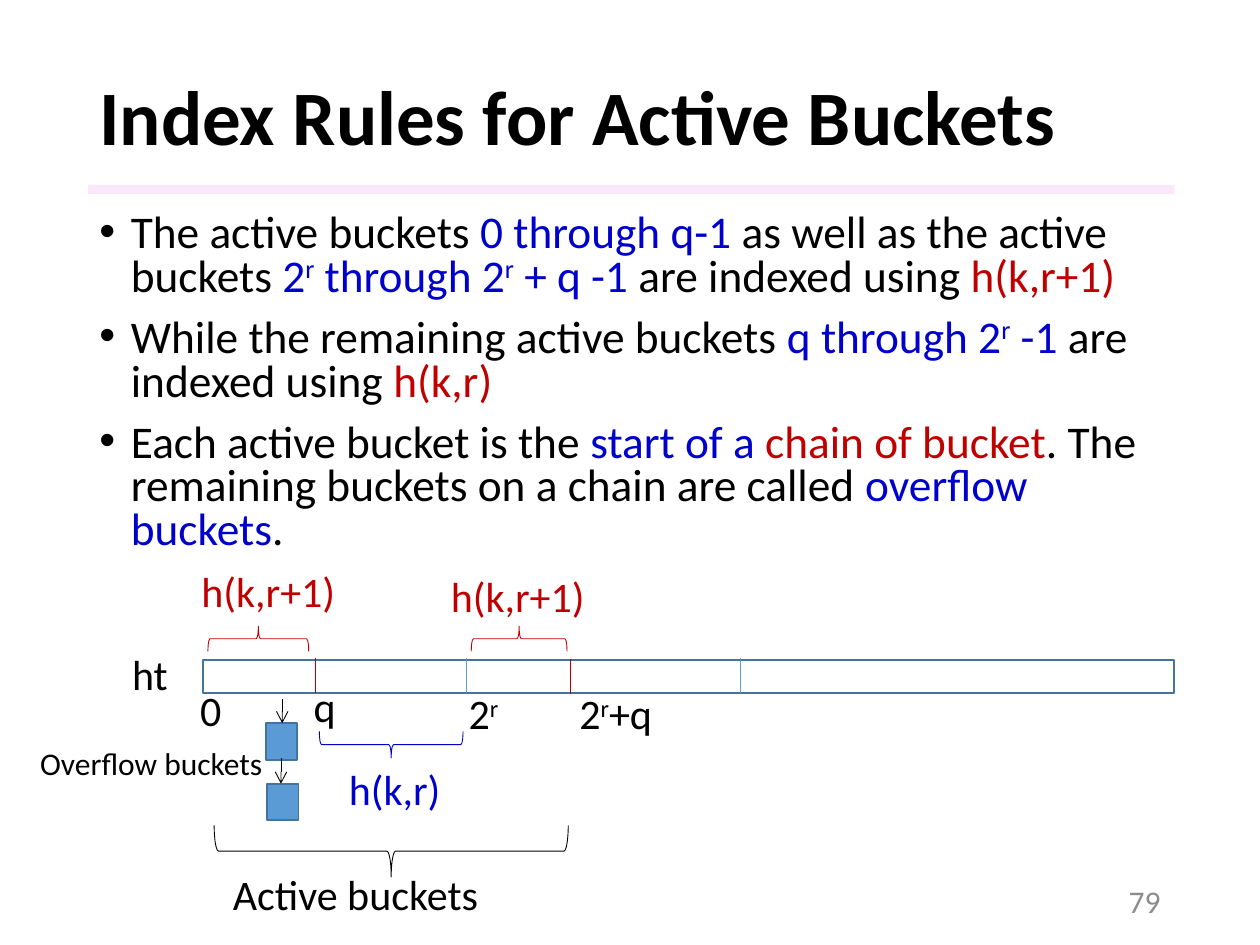
"""Builds the slide on index rules for active buckets in a dynamic hash table."""
from dataclasses import dataclass

from lxml import etree
from pptx import Presentation
from pptx import util as u
from pptx.dml.color import RGBColor
from pptx.enum import shapes, text
from pptx.oxml.ns import qn


@dataclass(frozen=True)
class Theme:
    font: str = "Calibri"
    black: str = "000000"
    blue: str = "0000CC"
    red: str = "C00000"
    grey: str = "8C8C8C"
    rule: str = "F3D2F4"
    bucket: str = "5B9BD5"
    edge: str = "43739E"
    title: float = 44
    body: float = 25.9
    label: float = 24
    small: float = 18
    thin: float = 0.5
    thick: float = 1


theme = Theme()


def write(paragraphs, box, size=theme.label, bold=False, wrap=False, bullet=False,
          spacing=None, anchor=text.MSO_ANCHOR.TOP, align=text.PP_ALIGN.LEFT):
    """Adds text from lists of (words, colour); words between ^ marks are superscript."""
    frame = slide.shapes.add_textbox(*map(u.Inches, box)).text_frame
    frame.word_wrap = wrap
    frame.vertical_anchor = anchor
    for index, pieces in enumerate(paragraphs):
        paragraph = frame.add_paragraph() if index else frame.paragraphs[0]
        paragraph.alignment = align
        if spacing:
            paragraph.line_spacing = spacing
        if bullet:
            properties = paragraph._p.get_or_add_pPr()
            properties.set("marL", str(u.Inches(0.25)))
            properties.set("indent", str(u.Inches(-0.25)))
            etree.SubElement(properties, qn("a:buFont")).set("typeface", "Arial")
            etree.SubElement(properties, qn("a:buChar")).set("char", "•")
            if index:
                paragraph.space_before = u.Pt(10)
        for words, color in pieces:
            for part, piece in enumerate(words.split("^")):
                if not piece:
                    continue
                run = paragraph.add_run()
                run.text = piece
                run.font.name = theme.font
                run.font.size = u.Pt(size)
                run.font.bold = bold
                run.font.color.rgb = RGBColor.from_string(color)
                if part % 2:
                    run._r.get_or_add_rPr().set("baseline", "30000")


def draw(kind, box, fill=None, line=None, width=theme.thin, rotation=0):
    """Adds a preset shape without shadow, filled or outlined as asked."""
    shape = slide.shapes.add_shape(kind, *map(u.Inches, box))
    shape.shadow.inherit = False
    shape.rotation = rotation
    if fill:
        shape.fill.solid()
        shape.fill.fore_color.rgb = RGBColor.from_string(fill)
    else:
        shape.fill.background()
    if line:
        shape.line.color.rgb = RGBColor.from_string(line)
        shape.line.width = u.Pt(width)
    else:
        shape.line.fill.background()
    return shape


deck = Presentation()
deck.slide_width, deck.slide_height = u.Inches(10), u.Inches(7.5)
slide = deck.slides.add_slide(deck.slide_layouts[6])
rectangle = shapes.MSO_SHAPE.RECTANGLE

title_rule = draw(rectangle, (0.7, 1.47, 8.62, 0.07), fill=theme.rule)
rule_color = title_rule._element.spPr.find(qn("a:solidFill"))[0]
etree.SubElement(rule_color, qn("a:alpha")).set("val", "50000")

write([[("Index Rules for Active Buckets", theme.black)]], (0.69, 0.4, 8.62, 1.11),
      size=theme.title, bold=True, wrap=True, spacing=0.9, anchor=text.MSO_ANCHOR.MIDDLE)

rules = [
    [("The active buckets ", theme.black), ("0 through q-1", theme.blue),
     (" as well as the active buckets ", theme.black),
     ("2^r^ through 2^r^ + q -1 ", theme.blue),
     ("are indexed using ", theme.black), ("h(k,r+1)", theme.red)],
    [("While the remaining active buckets ", theme.black),
     ("q through 2^r^ -1 ", theme.blue),
     ("are indexed using ", theme.black), ("h(k,r)", theme.red)],
    [("Each active bucket is the ", theme.black), ("start of a ", theme.blue),
     ("chain of bucket", theme.red),
     (". The remaining buckets on a chain are called ", theme.black),
     ("overflow buckets", theme.blue), (".", theme.black)],
]
write(rules, (0.69, 1.65, 8.62, 2.86), size=theme.body, wrap=True, bullet=True, spacing=0.8)
write([[("79", theme.grey)]], (7.06, 6.95, 2.25, 0.4), size=theme.small, wrap=True,
      anchor=text.MSO_ANCHOR.MIDDLE, align=text.PP_ALIGN.RIGHT)

draw(rectangle, (1.61, 5.24, 7.71, 0.26), line=theme.edge, width=theme.thick)
for left, top in [(2.11, 5.74), (2.12, 6.22)]:
    draw(rectangle, (left, top, 0.25, 0.29), fill=theme.bucket, line=theme.edge,
         width=theme.thick)

braces = [
    (1.95, 4.67, 0.2, 0.8, theme.red, 90),
    (4.02, 4.69, 0.2, 0.76, theme.red, 90),
    (3, 5.34, 0.21, 1.14, theme.blue, 270),
    (2.9, 5.35, 0.41, 2.81, theme.black, 270),
]
for *box, color, rotation in braces:
    draw(shapes.MSO_SHAPE.LEFT_BRACE, box, line=color, rotation=rotation)

dividers_and_links = [
    (3.7, 5.22, 5.5, theme.bucket, False),
    (5.88, 5.22, 5.5, theme.bucket, False),
    (2.5, 5.22, 5.5, theme.red, False),
    (4.53, 5.23, 5.51, theme.red, False),
    (2.24, 5.55, 5.74, theme.black, True),
    (2.23, 6.02, 6.22, theme.black, True),
]
for x, top, bottom, color, arrow in dividers_and_links:
    link = slide.shapes.add_connector(
        shapes.MSO_CONNECTOR.STRAIGHT, *map(u.Inches, (x, top, x, bottom)))
    link.line.color.rgb = RGBColor.from_string(color)
    link.line.width = u.Pt(theme.thin)
    if arrow:
        etree.SubElement(link.line._get_or_add_ln(), qn("a:tailEnd")).set("type", "arrow")
    etree.SubElement(link._element.spPr, qn("a:effectLst"))

labels = [
    ("ht", 0.95, 5.1, 0.49, theme.black),
    ("0", 1.49, 5.38, 0.37, theme.black),
    ("q", 2.39, 5.35, 0.38, theme.black),
    ("2^r^", 3.62, 5.41, 0.45, theme.black),
    ("2^r^+q", 4.5, 5.41, 0.8, theme.black),
    ("h(k,r+1)", 1.5, 4.44, 1.27, theme.red),
    ("h(k,r+1)", 3.48, 4.48, 1.27, theme.red),
    ("h(k,r)", 2.67, 6.01, 0.94, theme.blue),
    ("Active buckets", 1.75, 6.84, 2.17, theme.black),
]
for words, left, top, width, color in labels:
    write([[(words, color)]], (left, top, width, 0.5))
write([[("Overflow buckets", theme.black)]], (0.22, 5.86, 1.99, 0.4), size=theme.small)

deck.save("out.pptx")
